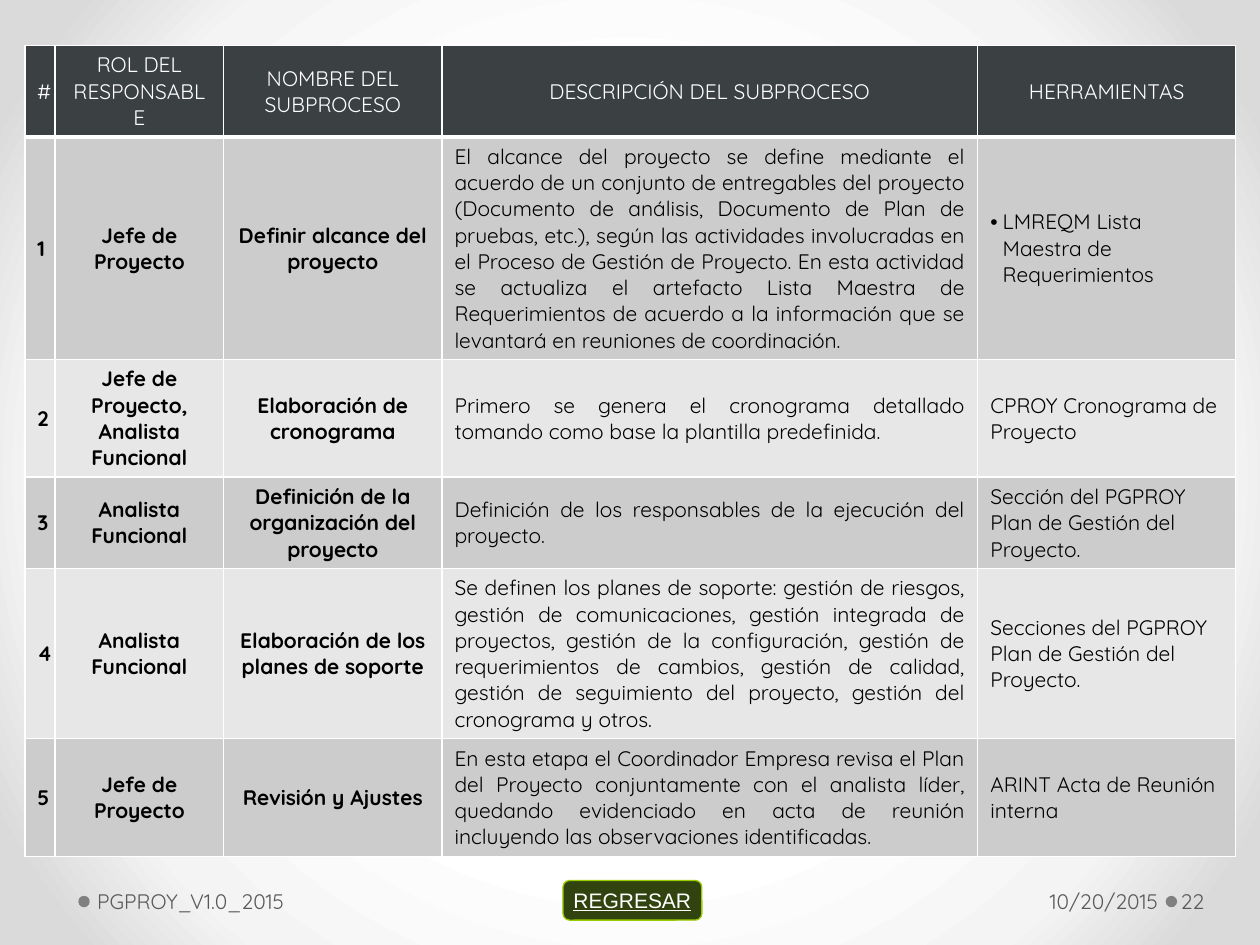
from lxml import etree
from pptx import Presentation
from pptx.dml.color import RGBColor
from pptx.enum import shapes, text
from pptx.oxml import ns
from pptx import util as u

Cm = u.Cm
ALIGN = {"l": text.PP_ALIGN.LEFT, "c": text.PP_ALIGN.CENTER,
         "r": text.PP_ALIGN.RIGHT, "j": text.PP_ALIGN.JUSTIFY}
WHITE, BLACK, GREY = "FFFFFF", "000000", "595959"
DARK, BANDS = "3B4042", ("CCCCCC", "E7E7E7")

COLS = (0.61, 3.4, 4.4, 10.8, 5.2)
ROWS = (1.84, 4.48, 2.37, 1.84, 3.43, 2.37)
HEAD = ("#", "ROL DEL RESPONSABLE", "NOMBRE DEL SUBPROCESO",
        "DESCRIPCIÓN DEL SUBPROCESO", "HERRAMIENTAS")
STEPS = (
    ("Jefe de Proyecto", "Definir alcance del proyecto",
     "El alcance del proyecto se define mediante el acuerdo de un conjunto de "
     "entregables del proyecto (Documento de análisis, Documento de Plan de "
     "pruebas, etc.), según las actividades involucradas en el Proceso de "
     "Gestión de Proyecto. En esta actividad se actualiza el artefacto Lista "
     "Maestra de Requerimientos de acuerdo a la información que se levantará "
     "en reuniones de coordinación.",
     "LMREQM Lista Maestra de Requerimientos"),
    ("Jefe de Proyecto, Analista Funcional", "Elaboración de cronograma",
     "Primero se genera el cronograma detallado tomando como base la "
     "plantilla predefinida.",
     "CPROY Cronograma de Proyecto"),
    ("Analista Funcional", "Definición de la organización del proyecto",
     "Definición de los responsables de la ejecución del proyecto.",
     "Sección del PGPROY Plan de Gestión del Proyecto."),
    ("Analista Funcional", "Elaboración de los planes de soporte",
     "Se definen los planes de soporte: gestión de riesgos, gestión de "
     "comunicaciones, gestión integrada de proyectos, gestión de la "
     "configuración, gestión de requerimientos de cambios, gestión de "
     "calidad, gestión de seguimiento del proyecto, gestión del cronograma "
     "y otros.",
     "Secciones del PGPROY Plan de Gestión del Proyecto."),
    ("Jefe de Proyecto", "Revisión y Ajustes",
     "En esta etapa el Coordinador Empresa revisa el Plan del Proyecto "
     "conjuntamente con el analista líder, quedando evidenciado en acta de "
     "reunión incluyendo las observaciones identificadas.",
     "ARINT Acta de Reunión interna"),
)


def rgb(code):
    return RGBColor.from_string(code)


def sub(node, tag, **attrs):
    return etree.SubElement(node, ns.qn(tag), attrs)


def write(frame, words, al="l", color=BLACK, bold=False, font="Quicksand",
          line=False, bullet=False):
    para = frame.paragraphs[0]
    para.alignment = ALIGN[al]
    if bullet:
        props = para._p.get_or_add_pPr()
        props.set("marL", str(Cm(0.25)))
        props.set("indent", str(-Cm(0.25)))
        sub(props, "a:buFont", typeface="Arial")
        sub(props, "a:buChar", char="•")
    run = para.add_run()
    run.text = words
    run.font.size = u.Pt(12)
    run.font.name = font
    run.font.bold = bold
    run.font.underline = line
    run.font.color.rgb = rgb(color)


def backdrop(slide):
    slide.background.fill.gradient()
    grad = slide.element.find(".//" + ns.qn("a:gradFill"))
    for child in list(grad):
        grad.remove(child)
    stops = sub(grad, "a:gsLst")
    for pos, code in ((50, WHITE), (76, "F4F4F4"), (92, "DADADA")):
        stop = sub(stops, "a:gs", pos=str(pos * 1000))
        sub(stop, "a:srgbClr", val=code)
    way = sub(grad, "a:path", path="circle")
    sub(way, "a:fillToRect", **dict.fromkeys("ltrb", "50000"))


def border(cell, base):
    props = cell._tc.get_or_add_tcPr()
    for side, size in (("L", 1), ("R", 1), ("T", 1), ("B", base)):
        edge = sub(props, "a:ln" + side, w=str(u.Pt(size)))
        sub(sub(edge, "a:solidFill"), "a:srgbClr", val=WHITE)


def grid(slide, x, y):
    table = slide.shapes.add_table(
        len(ROWS), len(COLS), Cm(x), Cm(y),
        Cm(sum(COLS)), Cm(sum(ROWS))).table
    for col, wide in zip(table.columns, COLS):
        col.width = Cm(wide)
    for row, high in zip(table.rows, ROWS):
        row.height = Cm(high)
    lines = [HEAD] + [(str(n), *step) for n, step in enumerate(STEPS, 1)]
    for r, line in enumerate(lines):
        for c, words in enumerate(line):
            cell = table.cell(r, c)
            border(cell, 1 if r else 3)
            cell.fill.solid()
            cell.fill.fore_color.rgb = rgb(BANDS[(r - 1) % 2] if r else DARK)
            cell.vertical_anchor = text.MSO_ANCHOR.MIDDLE
            if r:
                write(cell.text_frame, words, al="cccjl"[c], bold=c < 3,
                      bullet=(r, c) == (1, 4))
            else:
                write(cell.text_frame, words, al="c", color=WHITE)


def form(slide, kind, x, y, w, h, fill, edge=None):
    shape = slide.shapes.add_shape(kind, Cm(x), Cm(y), Cm(w), Cm(h))
    shape.shadow.inherit = False
    shape.fill.solid()
    shape.fill.fore_color.rgb = rgb(fill)
    if edge:
        shape.line.color.rgb = rgb(edge)
        shape.line.width = u.Pt(0.75)
    else:
        shape.line.fill.background()
    return shape


def label(slide, words, x, y, w, h, left, right, al="l"):
    frame = slide.shapes.add_textbox(Cm(x), Cm(y), Cm(w), Cm(h)).text_frame
    frame.word_wrap = True
    frame.vertical_anchor = text.MSO_ANCHOR.MIDDLE
    frame.margin_left, frame.margin_right = Cm(left), Cm(right)
    write(frame, words, al=al, color=GREY)


def footer(slide, x, y, h):
    kind = shapes.MSO_SHAPE
    # Dots beside the labels
    for dx in (0, 21.92):
        form(slide, kind.OVAL, x + dx, y + 0.41, 0.23, 0.23, "808080")
    # Version, date and page number
    label(slide, "PGPROY_V1.0_2015", x + 0.25, y, 10.06, h, 0.13, 0.25)
    label(slide, "10/20/2015", x + 16.1, y, 5.8, h, 0.25, 0.13, al="r")
    label(slide, "22", x + 22.14, y, 1.55, h, 0.08, 0.13)
    # Return button
    button = form(slide, kind.FLOWCHART_ALTERNATE_PROCESS, x + 9.77, y + 0.1,
                  2.8, 0.8, "314410", "99CC00")
    frame = button.text_frame
    frame.word_wrap = False
    frame.vertical_anchor = text.MSO_ANCHOR.MIDDLE
    write(frame, "REGRESAR", al="c", color=WHITE, font="Arial", line=True)


def main():
    deck = Presentation()
    deck.slide_width, deck.slide_height = Cm(25.4), Cm(19.05)
    slide = deck.slides.add_slide(deck.slide_layouts[6])
    backdrop(slide)
    grid(slide, 0.5, 0.92)
    footer(slide, 1.58, 17.65, 1.02)
    deck.save("out.pptx")


if __name__ == "__main__":
    main()
